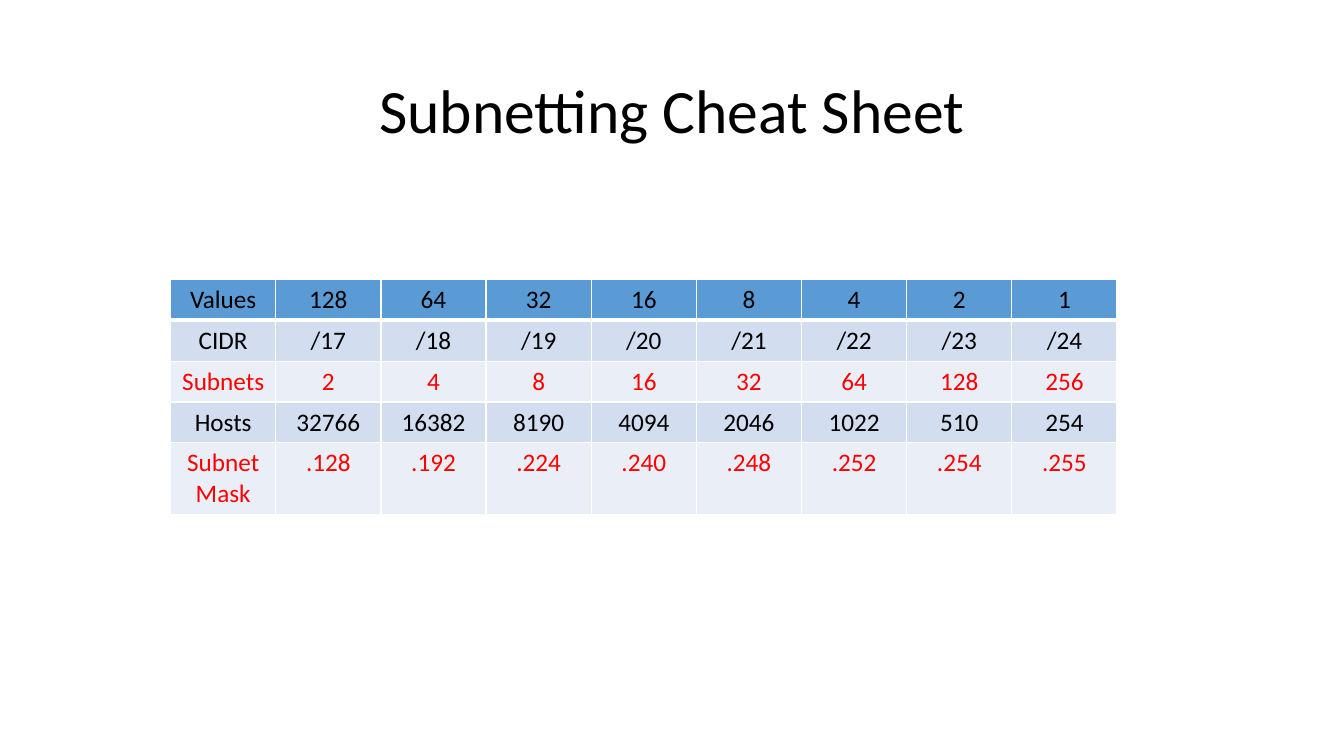
from dataclasses import dataclass

from lxml import etree
from pptx import Presentation
from pptx.dml.color import RGBColor
from pptx.enum.text import MSO_ANCHOR, PP_ALIGN
from pptx.oxml.ns import qn
from pptx.slide import Slide
from pptx.table import _Cell
from pptx.text.text import TextFrame
from pptx.util import Cm, Pt

CENTER = PP_ALIGN.CENTER
MIDDLE = MSO_ANCHOR.MIDDLE


@dataclass(frozen=True)
class Theme:
    font: str = "Calibri"
    title_size: int = 44
    cell_size: int = 18
    text: str = "000000"
    accent: str = "FF0000"
    header: str = "5B9BD5"
    band_dark: str = "D2DEEF"
    band_light: str = "EAEFF7"
    border: str = "FFFFFF"
    thin: int = 1
    thick: int = 3


THEME = Theme()


@dataclass(frozen=True)
class SubnetRow:
    label: str
    values: list[str]
    fill: str
    color: str = THEME.text


PREFIXES = range(17, 25)
BITS = range(1, 9)
ROWS = [
    SubnetRow("Values", [str(2 ** (8 - b)) for b in BITS], THEME.header),
    SubnetRow("CIDR", [f"/{n}" for n in PREFIXES], THEME.band_dark),
    SubnetRow("Subnets", [str(2 ** b) for b in BITS], THEME.band_light, THEME.accent),
    SubnetRow("Hosts", [str(2 ** (32 - n) - 2) for n in PREFIXES], THEME.band_dark),
    SubnetRow("Subnet Mask", [f".{256 - 2 ** (8 - b)}" for b in BITS],
              THEME.band_light, THEME.accent),
]
COLUMN_WIDTH = Cm(2.65)
ROW_HEIGHT = Cm(1.03)


def write_text(tf: TextFrame, text: str, size: int, color: str) -> None:
    p = tf.paragraphs[0]
    p.alignment = CENTER
    r = p.add_run()
    r.text = text
    r.font.name = THEME.font
    r.font.size = Pt(size)
    r.font.bold = False
    r.font.color.rgb = RGBColor.from_string(color)


def add_border(cell: _Cell, side: str, width: int) -> None:
    tc_pr = cell._tc.get_or_add_tcPr()
    line = etree.SubElement(tc_pr, qn(f"a:ln{side}"), w=str(Pt(width)))
    fill = etree.SubElement(line, qn("a:solidFill"))
    etree.SubElement(fill, qn("a:srgbClr"), val=THEME.border)


def format_cell(cell: _Cell, text: str, row: SubnetRow, index: int) -> None:
    write_text(cell.text_frame, text, THEME.cell_size, row.color)
    thick_sides = {0: "B", 1: "T"}
    for side in "LRTB":
        is_thick = thick_sides.get(index) == side
        add_border(cell, side, THEME.thick if is_thick else THEME.thin)
    cell.fill.solid()
    cell.fill.fore_color.rgb = RGBColor.from_string(row.fill)


def add_title(s: Slide, text: str) -> None:
    title = s.shapes.title
    title.left, title.top = Cm(2.33), Cm(1.01)
    title.width, title.height = Cm(29.21), Cm(3.68)
    tf = title.text_frame
    tf.vertical_anchor = MIDDLE
    write_text(tf, text, THEME.title_size, THEME.text)
    tf.paragraphs[0].line_spacing = 0.9


def add_subnet_table(s: Slide, rows: list[SubnetRow]) -> None:
    columns = len(rows[0].values) + 1
    table = s.shapes.add_table(
        len(rows), columns, Cm(4.3), Cm(7.04),
        COLUMN_WIDTH * columns, ROW_HEIGHT * len(rows),
    ).table
    for column in table.columns:
        column.width = COLUMN_WIDTH
    for i, row in enumerate(rows):
        table.rows[i].height = ROW_HEIGHT
        for j, text in enumerate([row.label, *row.values]):
            format_cell(table.cell(i, j), text, row, i)


def main() -> None:
    prs = Presentation()
    prs.slide_width, prs.slide_height = Cm(33.87), Cm(19.05)
    s = prs.slides.add_slide(prs.slide_layouts[5])
    add_title(s, "Subnetting Cheat Sheet")
    add_subnet_table(s, ROWS)
    prs.save("out.pptx")


if __name__ == "__main__":
    main()
